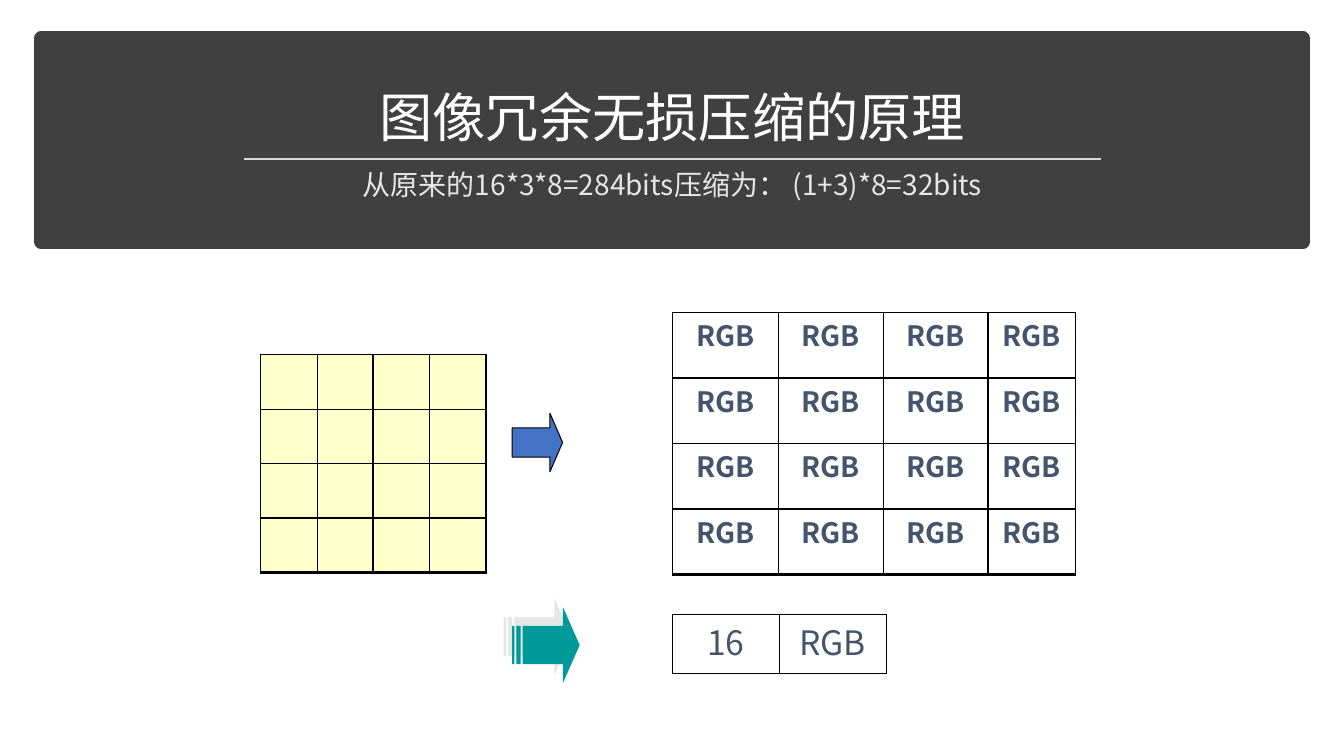
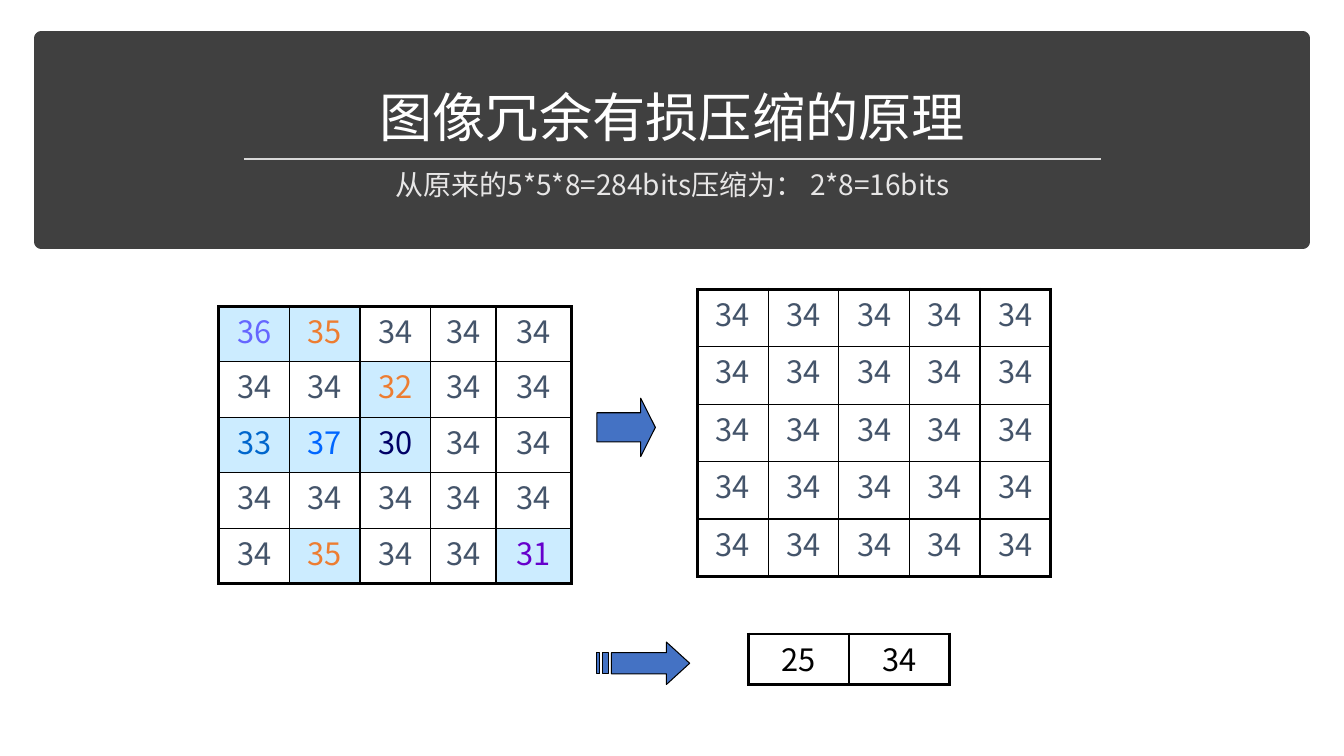
from lxml.etree import SubElement
from pptx import Presentation
from pptx.dml.color import RGBColor
from pptx.enum.shapes import MSO_CONNECTOR, MSO_SHAPE
from pptx.enum.text import MSO_ANCHOR, PP_ALIGN
from pptx.oxml.ns import qn
from pptx.util import Inches, Pt

FONT = "Noto Sans CJK SC"
COLORS = {
    "band": "404040", "title": "FFFFFF", "subtitle": "E7E6E6", "rule": "D9D9D9",
    "text": "44546A", "line": "000000", "arrow": "4472C4", "teal": "009999",
    "shadow": "E7E6E6", "pixel": "FFFFCC", "noise": "CCECFF",
}
# Text colour of each pixel value that differs from 34
NOISE_COLORS = {
    "30": "000066", "31": "6600CC", "32": "ED7D31", "33": "0066CC",
    "35": "ED7D31", "36": "6666FF", "37": "0066FF",
}


def rgb(name):
    return RGBColor.from_string(COLORS.get(name, name))


class Deck:
    """Holds the presentation, its style and the current slide."""

    def __init__(self):
        self.prs = Presentation()
        self.prs.slide_width, self.prs.slide_height = Inches(13.33), Inches(7.5)
        self.s = None

    def new_slide(self, title, subtitle):
        self.s = self.prs.slides.add_slide(self.prs.slide_layouts[6])
        self.shape(MSO_SHAPE.RECTANGLE, 0.41, 0.38, 12.51, 2.02, "band", "band", 10)
        self.textbox(title, 0.58, 0.51, 12.18, 1.02, 38, "title", MSO_ANCHOR.BOTTOM)
        self.textbox(subtitle, 1.67, 1.65, 10, 0.74, 20, "subtitle")
        self.rule(2.42, 1.58, 10.92)

    def set_text(self, tf, text, size, color, bold=False):
        p = tf.paragraphs[0]
        p.text = text
        p.alignment = PP_ALIGN.CENTER
        p.line_spacing = 0.9
        p.font.size, p.font.bold, p.font.name = Pt(size), bold, FONT
        p.font.color.rgb = rgb(color)
        for r in p.runs:
            SubElement(r.font._element, qn("a:ea"), typeface=FONT)

    def textbox(self, text, x, y, w, h, size, color, anchor=MSO_ANCHOR.TOP):
        tf = self.s.shapes.add_textbox(*map(Inches, (x, y, w, h))).text_frame
        tf.word_wrap = True
        tf.vertical_anchor = anchor
        self.set_text(tf, text, size, color)

    def rule(self, x, y, x2):
        ln = self.s.shapes.add_connector(
            MSO_CONNECTOR.STRAIGHT, Inches(x), Inches(y), Inches(x2), Inches(y))
        ln.line.color.rgb, ln.line.width = rgb("rule"), Pt(1.75)
        SubElement(ln._element.spPr, qn("a:effectLst"))

    def paint(self, sp, fill, line, width):
        sp.shadow.inherit = False
        if fill:
            sp.fill.solid()
            sp.fill.fore_color.rgb = rgb(fill)
        else:
            sp.fill.background()
        if line:
            sp.line.color.rgb, sp.line.width = rgb(line), Pt(width)
        else:
            sp.line.fill.background()

    def shape(self, kind, x, y, w, h, fill=None, line="line", width=0.75):
        sp = self.s.shapes.add_shape(kind, *map(Inches, (x, y, w, h)))
        self.paint(sp, fill, line, width)
        return sp

    def arrow(self, x, y, w, h):
        sp = self.shape(MSO_SHAPE.RIGHT_ARROW, x, y, w, h, "arrow")
        sp.adjustments[0], sp.adjustments[1] = 0.5, 0.25

    def label_box(self, text, x, y, w, h):
        sp = self.shape(MSO_SHAPE.RECTANGLE, x, y, w, h)
        sp.text_frame.vertical_anchor = MSO_ANCHOR.MIDDLE
        self.set_text(sp.text_frame, text, 24, "text")

    def striped_arrow(self, x, y, w, h, fill, line="line"):
        """Right arrow with two stripes at its tail, sized by fractions of the box."""
        def at(fx, fy):
            return Inches(x + fx * w), Inches(y + fy * h)

        head = [(0.75, 0), (0.75, 0.25), (5 / 32, 0.25), (5 / 32, 0.75),
                (0.75, 0.75), (0.75, 1), (1, 0.5)]
        stripes = [[(a, 0.25), (a, 0.75), (b, 0.75), (b, 0.25)]
                   for a, b in ((2 / 32, 4 / 32), (0, 1 / 32))]
        fb = self.s.shapes.build_freeform(*at(*head[0]))
        fb.add_line_segments([at(*pt) for pt in head[1:]])
        for first, *rest in stripes:
            fb.move_to(*at(*first))
            fb.add_line_segments([at(*pt) for pt in rest])
        sp = fb.convert_to_shape()
        self.paint(sp, fill, line, 0.75)
        return sp

    def drop_shadow(self, sp, distance, angle):
        effects = sp._element.spPr.find(qn("a:effectLst"))
        shadow = SubElement(effects, qn("a:outerShdw"), dist=str(int(Pt(distance))),
                            dir=str(angle * 60000), algn="ctr", rotWithShape="0")
        SubElement(shadow, qn("a:srgbClr"), val=COLORS["shadow"])

    def table(self, rows, x, y, cols, row_h, size, color="text", bold=False,
              fill=None, thick="LTRB"):
        """Draw a grid; thick names the outer sides that get a heavy line."""
        n, m = len(rows), len(cols)
        tbl = self.s.shapes.add_table(
            n, m, Inches(x), Inches(y), Inches(sum(cols)), Inches(row_h * n)).table
        tbl.first_row = tbl.horz_banding = False
        for col, w in zip(tbl.columns, cols):
            col.width = Inches(w)
        for i, row in enumerate(rows):
            tbl.rows[i].height = Inches(row_h)
            for j, text in enumerate(row):
                cell = tbl.cell(i, j)
                outer = {"L": j == 0, "R": j == m - 1, "T": i == 0, "B": i == n - 1}
                self.borders(cell, {side: 2.25 if edge and side in thick else 1
                                    for side, edge in outer.items()})
                noise = NOISE_COLORS.get(text)
                cell_fill = "noise" if noise else fill
                if cell_fill:
                    cell.fill.solid()
                    cell.fill.fore_color.rgb = rgb(cell_fill)
                else:
                    cell.fill.background()
                self.set_text(cell.text_frame, text, size, noise or color, bold)

    def borders(self, cell, widths):
        tcPr = cell._tc.get_or_add_tcPr()
        for side, width in widths.items():
            ln = SubElement(tcPr, qn("a:ln" + side), w=str(int(Pt(width))))
            fill = SubElement(ln, qn("a:solidFill"))
            SubElement(fill, qn("a:srgbClr"), val=COLORS["line"])


def lossless_slide(deck):
    deck.new_slide("图像冗余无损压缩的原理",
                   "从原来的16*3*8=284bits压缩为： (1+3)*8=32bits")
    deck.table([[""] * 4] * 4, 2.58, 3.52, [0.57, 0.55, 0.56, 0.56], 0.54, 18,
               fill="pixel", thick="B")
    deck.table([["RGB"] * 4] * 4, 6.67, 3.1, [1.05, 1.04, 1.04, 0.87], 0.65, 20,
               bold=True, thick="B")
    sp = deck.striped_arrow(5.08, 6.02, 0.67, 0.76, "teal", None)
    deck.drop_shadow(sp, 8.5, 225)
    for i, text in enumerate(("16", "RGB")):
        deck.label_box(text, 6.67 + i * 1.06, 6.1, 1.06, 0.58)
    deck.arrow(5.08, 4.1, 0.5, 0.58)


def lossy_slide(deck):
    deck.new_slide("图像冗余有损压缩的原理",
                   "从原来的5*5*8=284bits压缩为： 2*8=16bits")
    deck.table([["34"] * 5] * 5, 6.92, 2.87, [0.7] * 5, 0.57, 22)
    deck.arrow(5.92, 3.95, 0.58, 0.58)
    deck.striped_arrow(5.92, 6.37, 0.92, 0.42, "arrow")
    deck.table([["25", "34"]], 7.42, 6.29, [1, 1], 0.5, 22, "line")
    pixels = ["36 35 34 34 34", "34 34 32 34 34", "33 37 30 34 34",
              "34 34 34 34 34", "34 35 34 34 31"]
    deck.table([row.split() for row in pixels], 2.17, 3.04,
               [0.7, 0.7, 0.7, 0.65, 0.75], 0.55, 22)


def main():
    deck = Deck()
    lossless_slide(deck)
    lossy_slide(deck)
    deck.prs.save("out.pptx")


if __name__ == "__main__":
    main()
